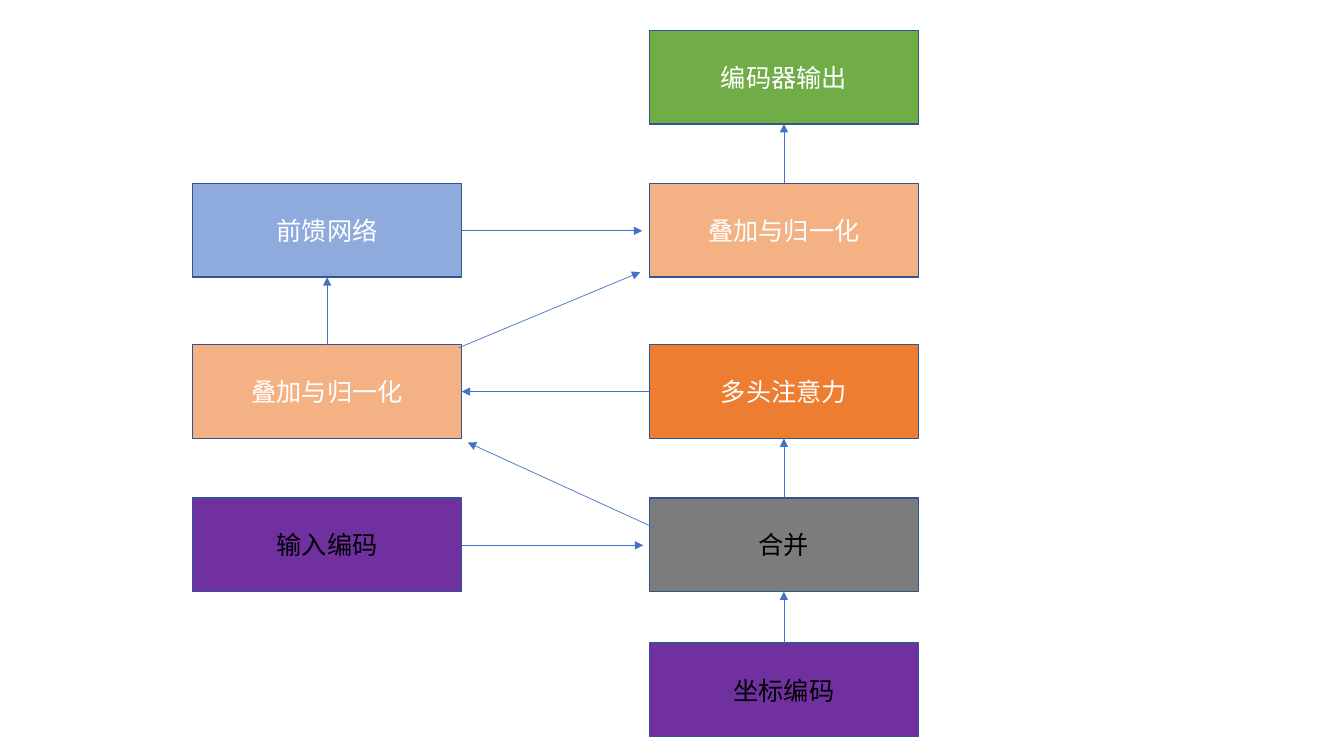
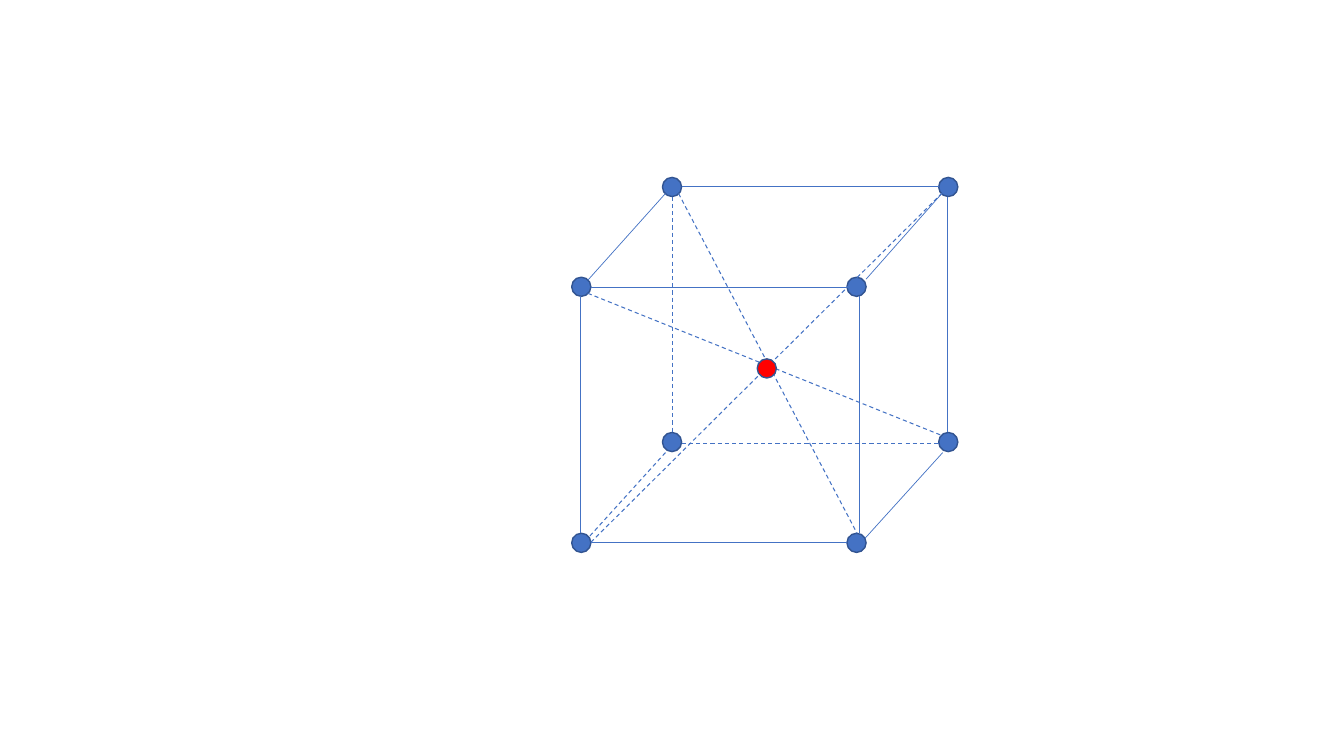
from itertools import product

from lxml import etree
from pptx import Presentation
from pptx.dml.color import RGBColor
from pptx.enum.dml import MSO_LINE
from pptx.enum.shapes import MSO_CONNECTOR, MSO_SHAPE
from pptx.enum.text import MSO_ANCHOR, PP_ALIGN
from pptx.oxml.ns import qn
from pptx.util import Inches, Pt

# Shared style
FONT = "Noto Sans CJK SC"
WHITE = RGBColor(0xFF, 0xFF, 0xFF)
BLACK = RGBColor(0x00, 0x00, 0x00)
BLUE = RGBColor(0x44, 0x72, 0xC4)
OUTLINE = RGBColor(0x32, 0x54, 0x91)
PURPLE = RGBColor(0x70, 0x30, 0xA0)
PEACH = RGBColor(0xF4, 0xB1, 0x83)
LIGHT_BLUE = RGBColor(0x8F, 0xAA, 0xDC)
GRAY = RGBColor(0x7C, 0x7C, 0x7C)
ORANGE = RGBColor(0xED, 0x7D, 0x31)
GREEN = RGBColor(0x70, 0xAD, 0x47)
RED = RGBColor(0xFF, 0x00, 0x00)

RECTANGLE, OVAL = MSO_SHAPE.RECTANGLE, MSO_SHAPE.OVAL
STRAIGHT = MSO_CONNECTOR.STRAIGHT
DASH = MSO_LINE.DASH
MIDDLE, CENTER = MSO_ANCHOR.MIDDLE, PP_ALIGN.CENTER
BLANK_LAYOUT = 6

# Encoder diagram: columns, rows and connection sites of a box
LEFT, RIGHT = 1.91, 6.44
ROWS = (0.3, 1.82, 3.42, 4.94, 6.38)
BOX_WIDTH, BOX_HEIGHT = 2.67, 0.93
TOP_SITE, LEFT_SITE, BOTTOM_SITE = 0, 1, 2

BOXES = {
    "input": (LEFT, ROWS[3], "输入编码", PURPLE, BLACK),
    "first norm": (LEFT, ROWS[2], "叠加与归一化", PEACH, WHITE),
    "feed forward": (LEFT, ROWS[1], "前馈网络", LIGHT_BLUE, WHITE),
    "position": (RIGHT, ROWS[4], "坐标编码", PURPLE, BLACK),
    "merge": (RIGHT, ROWS[3], "合并", GRAY, BLACK),
    "attention": (RIGHT, ROWS[2], "多头注意力", ORANGE, WHITE),
    "second norm": (RIGHT, ROWS[1], "叠加与归一化", PEACH, WHITE),
    "output": (RIGHT, ROWS[0], "编码器输出", GREEN, WHITE),
}
UPWARD_FLOWS = (
    ("position", "merge"),
    ("merge", "attention"),
    ("first norm", "feed forward"),
    ("second norm", "output"),
)
FREE_ARROWS = (
    ((4.58, 5.41), (6.38, 5.41)),
    ((4.57, 2.29), (6.37, 2.29)),
    ((6.52, 5.25), (4.64, 4.39)),
    ((4.55, 3.45), (6.35, 2.7)),
)

# Cube: the back face is the front face moved right and up
NODE_SIZE = 0.19
FACES = (
    ((2.75, 5.29), (5.67, 8.4)),
    ((1.76, 4.29), (6.57, 9.31)),
)
CUBE_CENTER = (7.51, 3.56)
VISIBLE_EDGES = (
    ((5.76, 2.94), (5.76, 5.29)),
    ((5.86, 2.85), (8.4, 2.85)),
    ((8.52, 2.94), (8.52, 5.29)),
    ((5.86, 5.38), (8.4, 5.38)),
    ((6.76, 1.85), (9.31, 1.85)),
    ((9.4, 1.95), (9.4, 4.29)),
    ((6.6, 1.92), (5.83, 2.78)),
    ((9.35, 1.91), (8.59, 2.77)),
    ((9.35, 4.49), (8.58, 5.34)),
)
HIDDEN_EDGES = (
    ((6.76, 4.4), (9.31, 4.4)),
    ((6.67, 1.95), (6.67, 4.29)),
    ((6.6, 4.49), (5.83, 5.34)),
)
DIAGONALS = (
    ((6.73, 1.92), (8.5, 5.29)),
    ((5.86, 5.38), (9.34, 1.92)),
    ((5.83, 2.91), (9.34, 4.32)),
)


def add_filled_shape(slide, preset, left, top, width, height, fill):
    shape = slide.shapes.add_shape(
        preset, Inches(left), Inches(top), Inches(width), Inches(height))
    shape.shadow.inherit = False
    shape.fill.solid()
    shape.fill.fore_color.rgb = fill
    shape.line.color.rgb = OUTLINE
    shape.line.width = Pt(1)
    return shape


def add_box(slide, left, top, label, fill, text_color):
    shape = add_filled_shape(
        slide, RECTANGLE, left, top, BOX_WIDTH, BOX_HEIGHT, fill)
    shape.text_frame.vertical_anchor = MIDDLE
    paragraph = shape.text_frame.paragraphs[0]
    paragraph.alignment = CENTER
    run = paragraph.add_run()
    run.text = label
    run.font.size = Pt(18)
    run.font.color.rgb = text_color
    run.font.name = FONT
    # Chinese text takes its typeface from the East Asian slot
    properties = run.font._element
    etree.SubElement(properties, qn("a:ea")).set("typeface", FONT)
    return shape


def add_node(slide, left, top, fill=BLUE):
    add_filled_shape(slide, OVAL, left, top, NODE_SIZE, NODE_SIZE, fill)


def add_line(slide, start=(0, 0), end=(0, 0), dashed=False, arrow=False):
    connector = slide.shapes.add_connector(
        STRAIGHT, *(Inches(value) for value in (*start, *end)))
    connector.line.color.rgb = BLUE
    connector.line.width = Pt(0.75 if dashed else 0.5)
    if dashed:
        connector.line.dash_style = DASH
    if arrow:
        line = connector.line._get_or_add_ln()
        etree.SubElement(line, qn("a:tailEnd")).set("type", "triangle")
    etree.SubElement(connector._element.spPr, qn("a:effectLst"))
    return connector


def add_flow(slide, source, source_site, target, target_site):
    connector = add_line(slide, arrow=True)
    connector.begin_connect(source, source_site)
    connector.end_connect(target, target_site)


def build_encoder_slide(slide):
    boxes = {name: add_box(slide, *box) for name, box in BOXES.items()}
    for source, target in UPWARD_FLOWS:
        add_flow(slide, boxes[source], TOP_SITE, boxes[target], BOTTOM_SITE)
    # The right-hand site follows the bottom one
    add_flow(slide, boxes["attention"], LEFT_SITE,
             boxes["first norm"], BOTTOM_SITE + 1)
    for start, end in FREE_ARROWS:
        add_line(slide, start, end, arrow=True)


def build_cube_slide(slide):
    for tops, lefts in FACES:
        for top, left in product(tops, lefts):
            add_node(slide, left, top)
    for start, end in VISIBLE_EDGES:
        add_line(slide, start, end)
    for start, end in HIDDEN_EDGES + DIAGONALS:
        add_line(slide, start, end, dashed=True)
    add_node(slide, *CUBE_CENTER, fill=RED)


def main():
    presentation = Presentation()
    presentation.slide_width = Inches(13.33)
    presentation.slide_height = Inches(7.5)
    layout = presentation.slide_layouts[BLANK_LAYOUT]
    for build_slide in (build_encoder_slide, build_cube_slide):
        build_slide(presentation.slides.add_slide(layout))
    presentation.save("out.pptx")


main()
